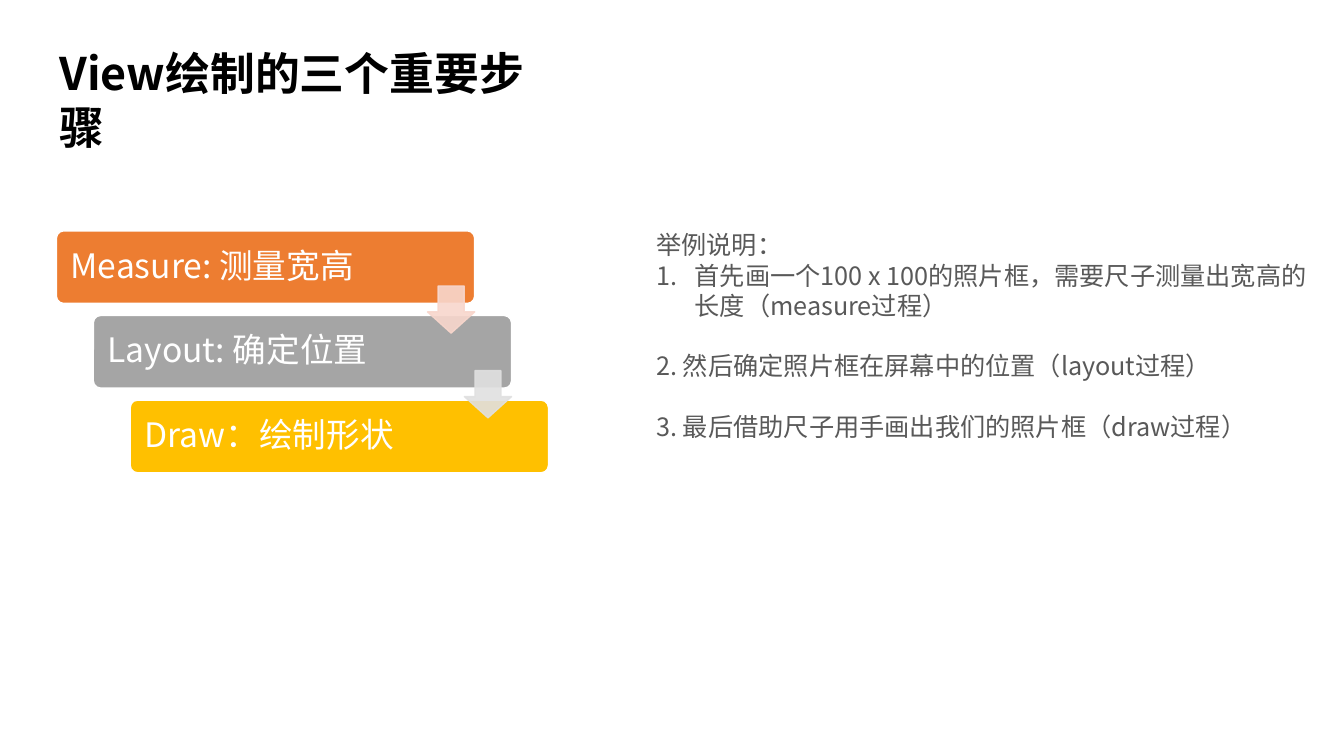
from lxml import etree
from pptx import Presentation, util as u
from pptx.dml.color import RGBColor
from pptx.enum import shapes, text
from pptx.oxml.ns import qn

WIDTH, HEIGHT = 13.33, 7.5
FONT = "Noto Sans CJK SC"
STEPS = [
    ("Measure: 测量宽高", "ED7D31", "F8D6CC"),
    ("Layout: 确定位置", "A5A5A5", "E0E0E0"),
    ("Draw：绘制形状", "FFC000", None),
]
EXAMPLE = [
    # text, automatic number, points before
    ("举例说明：", False, 0),
    ("首先画一个100 x 100的照片框，需要尺子测量出宽高的长度（measure过程）", True, 0),
    ("2. 然后确定照片框在屏幕中的位置（layout过程）", False, 21.6),
    ("3. 最后借助尺子用手画出我们的照片框（draw过程）", False, 21.6),
]


def color(value):
    return RGBColor.from_string(value)


def apply(target, **values):
    for name, value in values.items():
        setattr(target, name, value)


def set_frame(frame, margins, anchor):
    sides = ("margin_left", "margin_top", "margin_right", "margin_bottom")
    apply(frame, word_wrap=True, vertical_anchor=anchor,
          **{side: u.Inches(margin) for side, margin in zip(sides, margins)})


def write(paragraph, words, size, ink, bold=False, **layout):
    apply(paragraph, alignment=text.PP_ALIGN.LEFT, **layout)
    run = paragraph.add_run()
    run.text = words
    run.font.color.rgb = color(ink)
    apply(run.font, name=FONT, size=u.Pt(size), bold=bold)
    # East Asian characters take the same font
    etree.SubElement(run.font._element, qn("a:ea"), typeface=FONT)


def number(paragraph, indent):
    properties = paragraph._p.get_or_add_pPr()
    properties.set("marL", str(u.Inches(indent)))
    properties.set("indent", str(-u.Inches(indent)))
    etree.SubElement(properties, qn("a:buFont"), typeface="+mj-lt")
    etree.SubElement(properties, qn("a:buAutoNum"), type="arabicPeriod")


def add_filled(slide, kind, box, fill, line, adjustments):
    shape = slide.shapes.add_shape(kind, *map(u.Inches, box))
    shape.shadow.inherit = False
    shape.fill.solid()
    shape.fill.fore_color.rgb = color(fill)
    shape.line.color.rgb = color(line)
    shape.line.width = u.Pt(1)
    for index, value in enumerate(adjustments):
        shape.adjustments[index] = value
    return shape


def add_title(slide, box):
    frame = slide.shapes.add_textbox(*map(u.Inches, box)).text_frame
    set_frame(frame, [0.03] * 4, text.MSO_ANCHOR.MIDDLE)
    write(frame.paragraphs[0], "View绘制的三个重要步骤", 32, "000000", bold=True)


def add_staircase(slide, box):
    left, top, width, height = box
    # Each bar moves right and down by an equal share of the box
    bar_width, bar_height = width * 0.85, height * 0.3
    shift = (width - bar_width) / (len(STEPS) - 1)
    drop = (height - bar_height) / (len(STEPS) - 1)
    arrow = bar_height * 0.65

    for index, (words, fill, _) in enumerate(STEPS):
        bar = add_filled(slide, shapes.MSO_SHAPE.ROUNDED_RECTANGLE,
                         (left + index * shift, top + index * drop, bar_width, bar_height),
                         fill, "FFFFFF", [0.1])
        set_frame(bar.text_frame, [0.12, 0.1, 0.1, 0.1], text.MSO_ANCHOR.MIDDLE)
        write(bar.text_frame.paragraphs[0], words, 24, "FFFFFF", line_spacing=0.9)

    # Arrows lie over the bars, at each right end
    for index, (_, _, tint) in enumerate(STEPS[:-1]):
        arrow_box = (left + index * shift + bar_width - arrow,
                     top + index * drop + bar_height * 0.76, arrow, arrow)
        shape = add_filled(slide, shapes.MSO_SHAPE.DOWN_ARROW, arrow_box,
                           tint, tint, [0.55, 0.45])
        for paint in shape._element.spPr.iter(qn("a:srgbClr")):
            etree.SubElement(paint, qn("a:alpha"), val="90000")


def add_example(slide, box):
    frame = slide.shapes.add_textbox(*map(u.Inches, box)).text_frame
    set_frame(frame, [0.05] * 4, text.MSO_ANCHOR.TOP)
    for index, (words, numbered, before) in enumerate(EXAMPLE):
        paragraph = frame.add_paragraph() if index else frame.paragraphs[0]
        write(paragraph, words, 18, "595959", space_before=u.Pt(before))
        if numbered:
            number(paragraph, 0.38)


def main():
    presentation = Presentation()
    apply(presentation, slide_width=u.Inches(WIDTH), slide_height=u.Inches(HEIGHT))
    slide = presentation.slides.add_slide(presentation.slide_layouts[6])
    add_title(slide, (0.56, 0.65, 5.07, 0.68))
    add_staircase(slide, (0.56, 2.29, 4.88, 2.4))
    add_example(slide, (6.46, 2.23, 6.68, 2.45))
    presentation.save("out.pptx")


if __name__ == "__main__":
    main()
